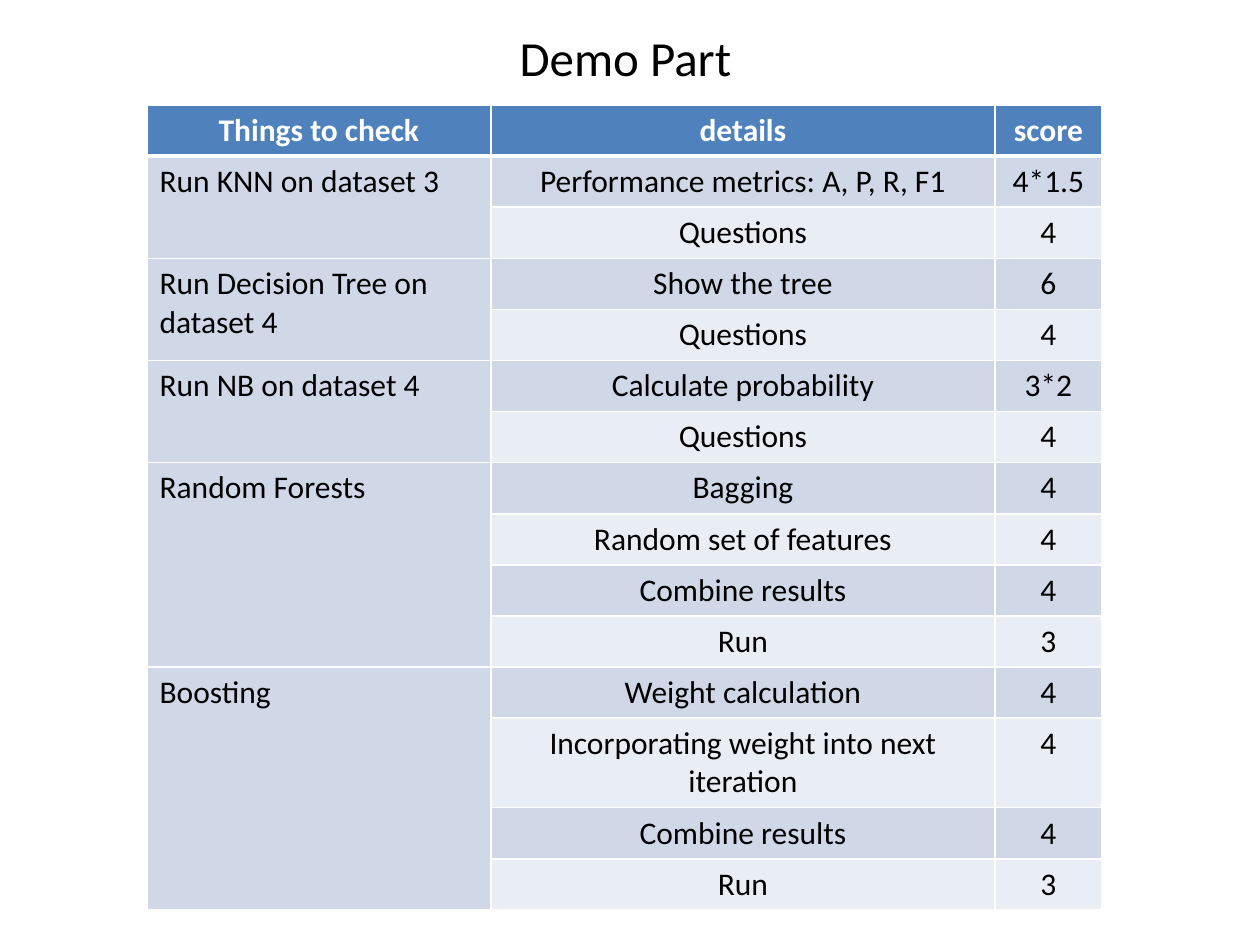
import pptx
import pptx.util
import pptx.dml.color
import pptx.enum.text
import pptx.oxml
import pptx.oxml.ns

ALIGN = pptx.enum.text.PP_ALIGN
SCALE = 914400 / 126


def px(n):
    return pptx.util.Emu(round(n * SCALE))


def color(code):
    return pptx.dml.color.RGBColor.from_string(code)


class Deck:
    font = "Calibri"
    ink = "000000"
    paper = "FFFFFF"
    head = "4F81BD"
    bands = ("D0D8E8", "E9EDF4")

    def __init__(self, wide, high):
        self.show = pptx.Presentation()
        self.show.slide_width = px(wide)
        self.show.slide_height = px(high)
        self.slide = self.show.slides.add_slide(self.show.slide_layouts[6])

    def label(self, frame, text, size, ink, bold=False, align=ALIGN.CENTER):
        para = frame.paragraphs[0]
        para.alignment = align
        run = para.add_run()
        run.text = text
        style = {"name": self.font, "size": pptx.util.Pt(size), "bold": bold}
        for key, value in style.items():
            setattr(run.font, key, value)
        run.font.color.rgb = color(ink)

    def title(self, box, text, size):
        frame = self.slide.shapes.add_textbox(*map(px, box)).text_frame
        frame.word_wrap = False
        frame.auto_size = pptx.enum.text.MSO_AUTO_SIZE.SHAPE_TO_FIT_TEXT
        self.label(frame, text, size, self.ink)

    def edge(self, cell, side, width):
        line = pptx.oxml.parse_xml(
            f'<a:{side} {pptx.oxml.ns.nsdecls("a")} w="{pptx.util.Pt(width)}">'
            f'<a:solidFill><a:srgbClr val="{self.paper}"/></a:solidFill></a:{side}>')
        cell._tc.get_or_add_tcPr().append(line)

    def paint(self, cell, row, fill):
        for side in ("lnL", "lnR", "lnT", "lnB"):
            thick = (row, side) in ((0, "lnB"), (1, "lnT"))
            self.edge(cell, side, 3 if thick else 1)
        cell.fill.solid()
        cell.fill.fore_color.rgb = color(fill)

    def table(self, box, widths, height, heads, groups, size):
        count = 1 + sum(len(items) for _, items in groups)
        frame = self.slide.shapes.add_table(count, len(widths), *map(px, box))
        grid = frame.table
        for col, width in zip(grid.columns, widths):
            col.width = px(width)
        for row in grid.rows:
            row.height = px(height)
        frame.height = px(box[3])
        for col, text in enumerate(heads):
            cell = grid.cell(0, col)
            self.paint(cell, 0, self.head)
            self.label(cell.text_frame, text, size, self.paper, True)
        row = 1
        for name, items in groups:
            first = grid.cell(row, 0)
            first.merge(grid.cell(row + len(items) - 1, 0))
            self.label(first.text_frame, name, size, self.ink, align=ALIGN.LEFT)
            for item in items:
                self.paint(grid.cell(row, 0), row, self.bands[0])
                for col, text in enumerate(item, 1):
                    cell = grid.cell(row, col)
                    self.paint(cell, row, self.bands[(row - 1) % 2])
                    self.label(cell.text_frame, text, size, self.ink)
                row += 1


ask = ("Questions", "4")
end = [("Combine results", "4"), ("Run", "3")]
groups = [
    ("Run KNN on dataset 3", [("Performance metrics: A, P, R, F1", "4*1.5"), ask]),
    ("Run Decision Tree on dataset 4", [("Show the tree", "6"), ask]),
    ("Run NB on dataset 4", [("Calculate probability", "3*2"), ask]),
    ("Random Forests", [("Bagging", "4"), ("Random set of features", "4")] + end),
    ("Boosting", [("Weight calculation", "4"),
                  ("Incorporating weight into next iteration", "4")] + end),
]

deck = Deck(1260, 945)
deck.table((147, 105, 955, 794), (344, 504, 107), 48,
           ("Things to check", "details", "score"), groups, 18)
deck.title((506, 21, 239, 72), "Demo Part", 28)
deck.show.save("out.pptx")
